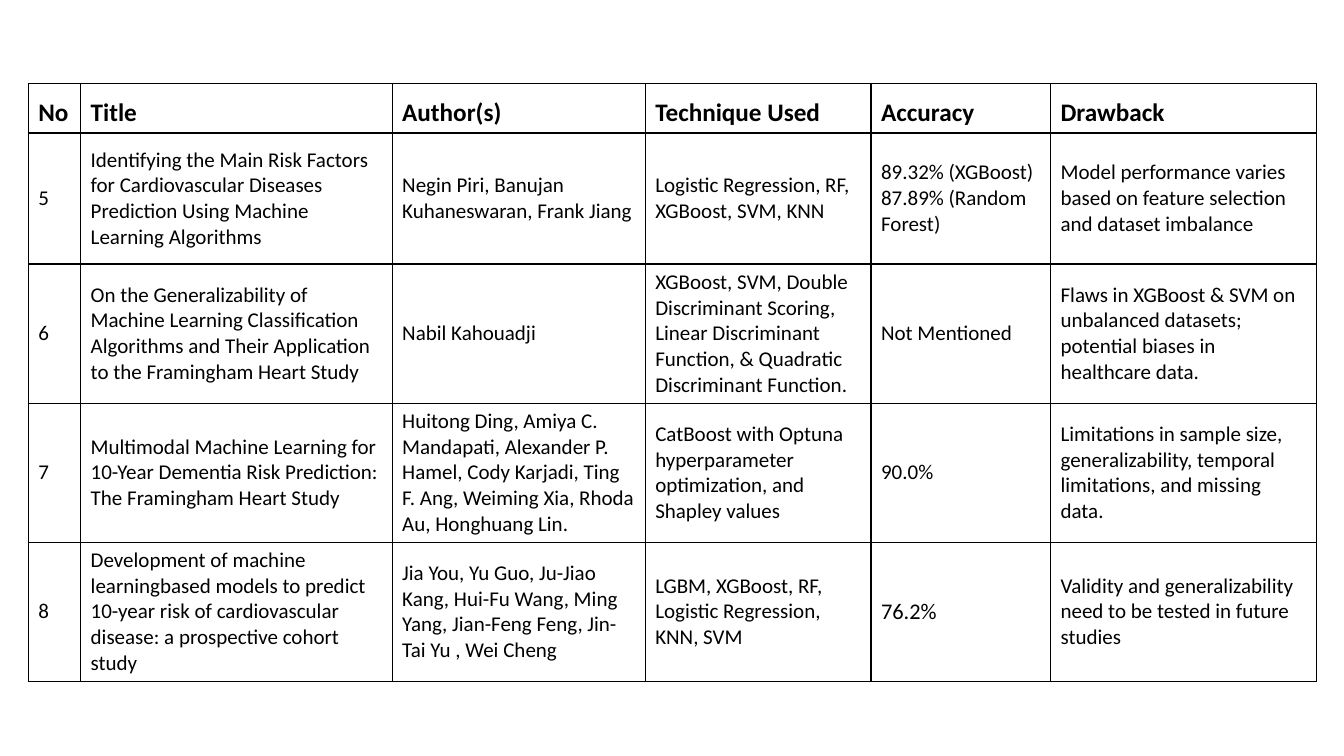
from lxml import etree
from pptx import Presentation
from pptx.dml.color import RGBColor
from pptx.enum.text import MSO_ANCHOR, PP_ALIGN
from pptx.oxml.ns import qn
from pptx.util import Inches, Pt

BOTTOM, MIDDLE = MSO_ANCHOR.BOTTOM, MSO_ANCHOR.MIDDLE
LEFT = PP_ALIGN.LEFT
BORDER_SIDES = ("a:lnL", "a:lnR", "a:lnT", "a:lnB")

COLUMN_WIDTHS = [0.52, 3.09, 2.51, 2.24, 1.78, 2.64]
ROW_HEIGHTS = [0.49, 1.3, 1.38, 1.38, 1.38]
STUDIES = [
    ["No", "Title", "Author(s)", "Technique Used", "Accuracy", "Drawback"],
    ["5",
     "Identifying the Main Risk Factors for Cardiovascular Diseases Prediction "
     "Using Machine Learning Algorithms",
     "Negin Piri, Banujan Kuhaneswaran, Frank Jiang",
     "Logistic Regression, RF, XGBoost, SVM, KNN",
     "89.32% (XGBoost) 87.89% (Random Forest)",
     "Model performance varies based on feature selection and dataset imbalance"],
    ["6",
     "On the Generalizability of Machine Learning Classification Algorithms "
     "and Their Application to the Framingham Heart Study",
     "Nabil Kahouadji",
     "XGBoost, SVM, Double Discriminant Scoring, Linear Discriminant Function, "
     "& Quadratic Discriminant Function.",
     "Not Mentioned",
     "Flaws in XGBoost & SVM on unbalanced datasets; potential biases in "
     "healthcare data."],
    ["7",
     "Multimodal Machine Learning for 10-Year Dementia Risk Prediction: "
     "The Framingham Heart Study",
     "Huitong Ding, Amiya C. Mandapati, Alexander P. Hamel, Cody Karjadi, "
     "Ting F. Ang, Weiming Xia, Rhoda Au, Honghuang Lin.",
     "CatBoost with Optuna hyperparameter optimization, and Shapley values",
     "90.0%",
     "Limitations in sample size, generalizability, temporal limitations, "
     "and missing data."],
    ["8",
     "Development of machine learningbased models to predict 10-year risk of "
     "cardiovascular disease: a prospective cohort study",
     "Jia You, Yu Guo, Ju-Jiao Kang, Hui-Fu Wang, Ming Yang, Jian-Feng Feng, "
     "Jin-Tai Yu , Wei Cheng",
     "LGBM, XGBoost, RF, Logistic Regression, KNN, SVM",
     "76.2%",
     "Validity and generalizability need to be tested in future studies"],
]


def color(value):
    return RGBColor.from_string(value)


class SlideBuilder:
    font = "Calibri"
    ink = "000000"
    paper = "FFFFFF"
    header_size = 18
    body_size = 15
    border_width = 1

    def __init__(self, page):
        self.page = page

    def table(self, left, top, widths, heights, rows):
        frame = self.page.shapes.add_table(
            len(rows), len(widths), Inches(left), Inches(top),
            Inches(sum(widths)), Inches(sum(heights)))
        table = frame.table
        table.first_row = table.horz_banding = False
        for column, width in zip(table.columns, widths):
            column.width = Inches(width)
        for row, height, texts in zip(table.rows, heights, rows):
            row.height = Inches(height)
            for cell, text in zip(row.cells, texts):
                self.cell(cell, text)
        for cell in table.rows[0].cells:
            self.format_text(cell, self.header_size, bold=True)
            cell.vertical_anchor = BOTTOM
        return table

    def cell(self, cell, text):
        cell.text_frame.text = text
        cell.vertical_anchor = MIDDLE
        self.format_text(cell, self.body_size)
        self.borders(cell)
        cell.fill.solid()
        cell.fill.fore_color.rgb = color(self.paper)

    def format_text(self, cell, size, bold=False):
        for para in cell.text_frame.paragraphs:
            para.alignment = LEFT
            for span in para.runs:
                span.font.name = self.font
                span.font.size = Pt(size)
                span.font.bold = bold
                span.font.color.rgb = color(self.ink)

    def borders(self, cell):
        properties = cell._tc.get_or_add_tcPr()
        for side in BORDER_SIDES:
            line = etree.SubElement(properties, qn(side), w=str(Pt(self.border_width)))
            fill = etree.SubElement(line, qn("a:solidFill"))
            etree.SubElement(fill, qn("a:srgbClr"), val=self.ink)


def main():
    deck = Presentation()
    deck.slide_width, deck.slide_height = Inches(13.33), Inches(7.5)
    builder = SlideBuilder(deck.slides.add_slide(deck.slide_layouts[6]))

    # Literature survey table
    table = builder.table(0.28, 0.83, COLUMN_WIDTHS, ROW_HEIGHTS, STUDIES)

    # The last accuracy figure is slightly larger
    builder.format_text(table.cell(4, 4), 16)

    deck.save("out.pptx")


if __name__ == "__main__":
    main()
